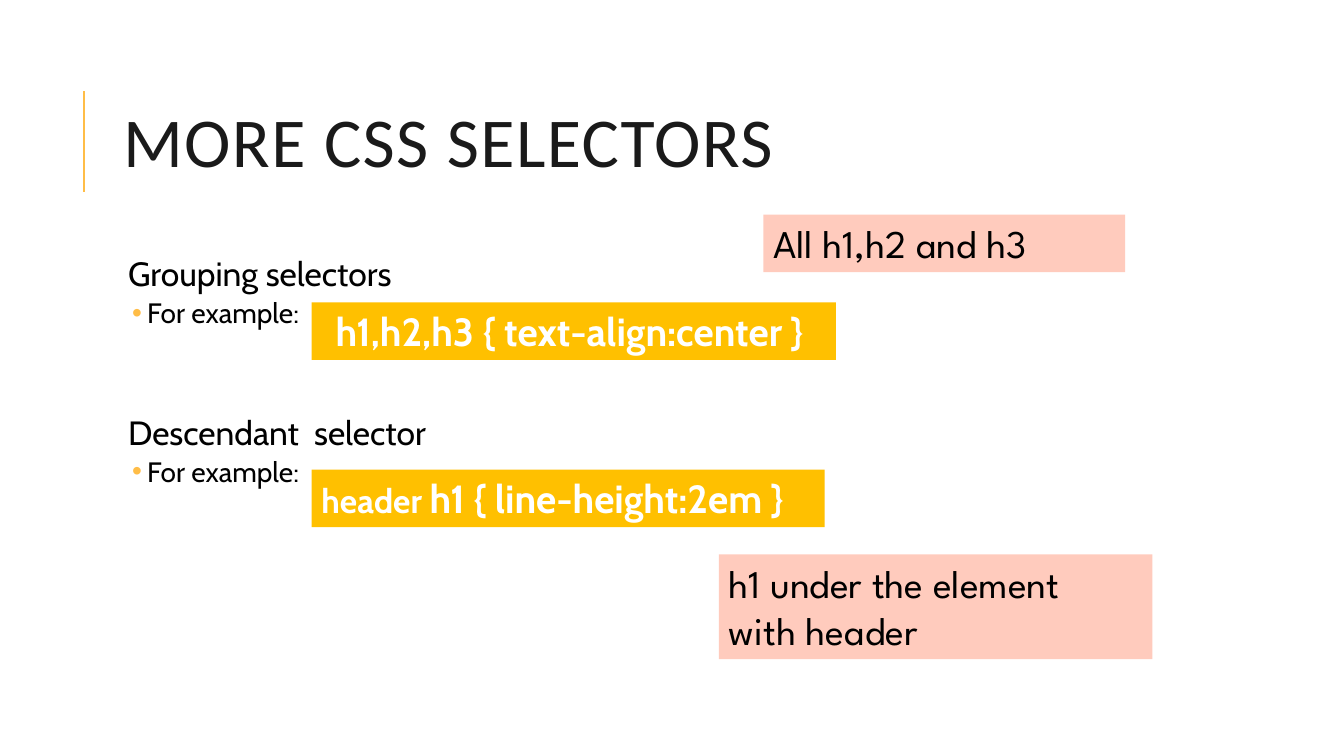
from pptx import Presentation
from pptx.dml.color import RGBColor as RGB
from pptx.enum.shapes import MSO_CONNECTOR as Link, MSO_SHAPE as Shape
from pptx.enum.text import MSO_ANCHOR as Anchor, MSO_AUTO_SIZE as Fit, PP_ALIGN as Align
from pptx.oxml.ns import qn
from pptx.util import Inches, Pt
from lxml.etree import SubElement as Sub

INK = RGB(0x1A, 0x1A, 0x1A)
BLACK = RGB(0, 0, 0)
WHITE = RGB(0xFF, 0xFF, 0xFF)
AMBER = RGB(0xFF, 0xBD, 0x47)
GOLD = RGB(0xFF, 0xC0, 0x00)
PINK = RGB(0xFF, 0xCB, 0xBD)


def place(shape, left, top, width, height):
    shape.left, shape.top = Inches(left), Inches(top)
    shape.width, shape.height = Inches(width), Inches(height)


def write(para, text, size=28, font="Cabin", color=BLACK, bold=False, track=0):
    """Add one formatted run to a paragraph."""
    run = para.add_run()
    run.text = text
    run.font.size, run.font.name, run.font.bold = Pt(size), font, bold
    run.font.color.rgb = color
    if track:
        run.font._element.set("spc", str(track * 100))


def space(para, line, before=0, after=0):
    para.alignment = Align.LEFT
    para.line_spacing = line
    para.space_before, para.space_after = Pt(before), Pt(after)


def indent(para, left, first=0, mark=None):
    """Set the indents and the bullet of a paragraph."""
    props = para._p.get_or_add_pPr()
    props.set("marL", str(Inches(left)))
    props.set("indent", str(Inches(first)))
    if mark:
        tint = Sub(props, qn("a:buClr"))
        Sub(tint, qn("a:srgbClr"), val=str(AMBER))
        Sub(props, qn("a:buChar"), char=mark)
    else:
        Sub(props, qn("a:buNone"))


def add_title(slide, text):
    title = slide.shapes.title
    place(title, 1.12, 0.64, 10.63, 1.64)
    frame = title.text_frame
    frame.vertical_anchor, frame.auto_size = Anchor.MIDDLE, Fit.NONE
    para = frame.paragraphs[0]
    space(para, 0.8)
    write(para, text, size=50, font="Calibri", color=INK, track=1)


def add_list(slide, heads):
    """Fill the body with headings, each followed by an example line."""
    body = slide.placeholders[1]
    place(body, 1.12, 2.5, 10.63, 4.4)
    frame = body.text_frame
    frame.vertical_anchor, frame.auto_size = Anchor.TOP, Fit.NONE
    frame.margin_left = frame.margin_right = Inches(0.05)
    frame.margin_top = frame.margin_bottom = Inches(0.05)
    for i, (text, before) in enumerate(heads):
        head = frame.add_paragraph() if i else frame.paragraphs[0]
        space(head, 0.9, before, 2)
        indent(head, 0.1)
        write(head, text, size=24)
        item = frame.add_paragraph()
        item.level = 1
        space(item, 0.9, 2, 4)
        indent(item, 0.29, -0.15, "•")
        write(item, "For example:", size=20)


def add_box(slide, spot, fill, lines, inset=0.1, **style):
    """Draw a filled box; each line is a list of (text, size) runs."""
    box = slide.shapes.add_shape(Shape.RECTANGLE, *map(Inches, spot))
    box.shadow.inherit = False
    box.fill.solid()
    box.fill.fore_color.rgb = fill
    box.line.fill.background()
    frame = box.text_frame
    frame.word_wrap, frame.vertical_anchor = True, Anchor.TOP
    frame.auto_size = Fit.SHAPE_TO_FIT_TEXT
    frame.margin_left = Inches(inset)
    for i, runs in enumerate(lines):
        para = frame.add_paragraph() if i else frame.paragraphs[0]
        para.alignment = Align.LEFT
        for text, size in runs:
            write(para, text, size=size, **style)


def add_rule(slide, x, top, end):
    rule = slide.shapes.add_connector(
        Link.STRAIGHT, Inches(x), Inches(end), Inches(x), Inches(top))
    rule.line.color.rgb, rule.line.width = AMBER, Pt(1.5)
    Sub(rule._element.spPr, qn("a:effectLst"))


def main():
    deck = Presentation()
    deck.slide_width, deck.slide_height = Inches(13.33), Inches(7.5)
    slide = deck.slides.add_slide(deck.slide_layouts[1])

    # Title and list
    add_title(slide, "MORE CSS SELECTORS")
    add_list(slide, [("Grouping selectors", 12), ("Descendant  selector", 58)])
    add_rule(slide, 0.83, 0.9, 1.9)

    # Code samples
    code = {"color": WHITE, "bold": True}
    add_box(slide, (3.09, 3, 5.2, 0.57), GOLD,
            [[("h1,h2,h3 { text-align:center }", 28)]], inset=0.24, **code)
    add_box(slide, (3.09, 4.66, 5.09, 0.57), GOLD,
            [[("header ", 24), ("h1 { line-height:2em }", 28)]], **code)

    # Explanations
    note = {"font": "League Spartan"}
    add_box(slide, (7.57, 2.13, 3.59, 0.57), PINK,
            [[("All h1,h2 and h3", 28)]], **note)
    add_box(slide, (7.13, 5.5, 4.3, 1.04), PINK,
            [[("h1 under the element", 28)], [("with header", 28)]], **note)

    deck.save("out.pptx")


if __name__ == "__main__":
    main()
